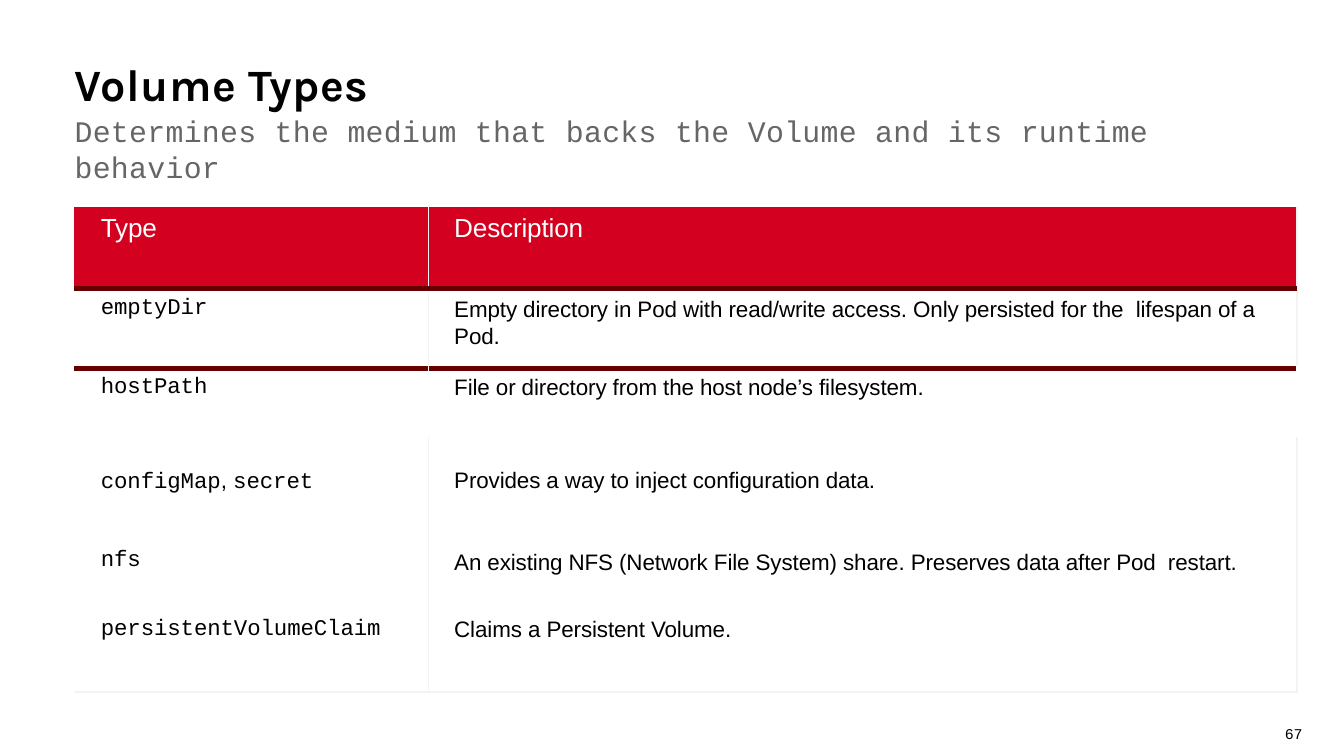
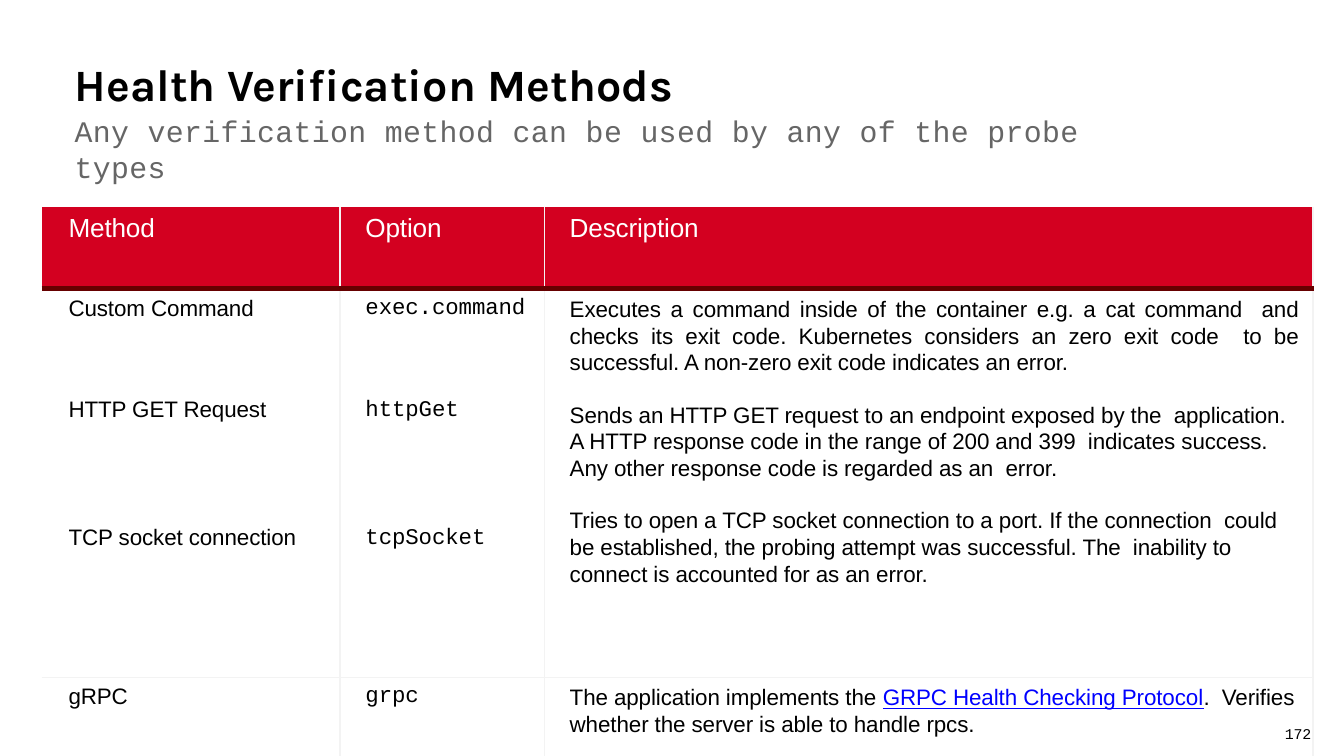
from dataclasses import dataclass

from lxml import etree
from pptx import Presentation
from pptx import util as u
from pptx.dml.color import RGBColor
from pptx.enum import text
from pptx.oxml.ns import qn

# Shared look
BLACK, WHITE, GREY, BLUE = "000000", "FFFFFF", "666666", "0000FF"
RED, MAROON, PALE = "D30020", "660000", "F3F3F3"
SANS, MONO, HEADING = "Arial", "Courier New", "Karla"
NO_STYLE = "{2D5ABB26-0587-4C30-8999-92F81FD0307C}"
HAIRLINE, RULE = (PALE, 0.75), (MAROON, 3)
BODY_LINE = 14.3
TABLE_TOP = 15.4
HEADER_HEIGHT = 6.1
LOWERED = 2.3


@dataclass
class Span:
    text: str
    font: str = SANS
    size: float = 12
    color: str = BLACK
    spacing: float = -0.05
    bold: bool = False
    underline: bool = False


@dataclass
class Para:
    spans: list
    before: float = 0
    line: float = None
    align: object = text.PP_ALIGN.LEFT


@dataclass
class Row:
    height: float
    cells: list
    bottom: tuple = None
    sides: tuple = HAIRLINE
    fill: str = None
    top_margin: float = 0.5


def grid(count):
    """One grid column or row is a tenth of an inch."""
    return u.Inches(count / 10)


def rgb(color):
    return RGBColor.from_string(color)


# Text
def write(frame, paras):
    for index, item in enumerate(paras):
        para = frame.add_paragraph() if index else frame.paragraphs[0]
        para.alignment = item.align
        para.space_before = u.Pt(item.before)
        if item.line:
            para.line_spacing = u.Pt(item.line)
        for part in item.spans:
            span = para.add_run()
            span.text = part.text
            font = span.font
            font.name, font.size = part.font, u.Pt(part.size)
            font.bold, font.underline = part.bold, part.underline
            font.color.rgb = rgb(part.color)
            span._r.get_or_add_rPr().set("spc", str(round(part.spacing * 100)))


def set_frame(frame, left, top):
    frame.word_wrap = True
    frame.auto_size = text.MSO_AUTO_SIZE.NONE
    frame.vertical_anchor = text.MSO_ANCHOR.TOP
    frame.margin_right = frame.margin_bottom = 0
    frame.margin_left, frame.margin_top = grid(left), grid(top)


def add_page(deck, title, subtitle, width, title_spacing, subtitle_spacing):
    page = deck.slides.add_slide(deck.slide_layouts[5])
    box = page.shapes.title
    box.left, box.top, box.width, box.height = map(grid, (5.4, 3.7, width, 10))
    set_frame(box.text_frame, 0.15, 0.5)
    write(box.text_frame, [
        Para([Span(title, HEADING, 24, BLACK, title_spacing, bold=True)]),
        Para([Span(subtitle, MONO, 16, GREY, subtitle_spacing)], 1.5),
    ])
    return page


def add_page_number(page, number, width):
    box = page.shapes.add_textbox(*map(grid, (95.2, 53.7, width, 1.5)))
    set_frame(box.text_frame, 0.4, 0.2)
    write(box.text_frame, [Para([Span(number, MONO, 8, spacing=-0.15)])])


# Cell contents
def plain(words):
    return [Para([Span(words)])]


def code(words):
    return [Para([Span(words, MONO)])]


def wrapped(*words):
    return [Para([Span(part) for part in words], line=BODY_LINE)]


def stacked(paras, gaps):
    for para, gap in zip(paras[1:], gaps):
        para.before = gap
    return paras


def header(*labels):
    cells = [[Para([Span(label, size=14, color=WHITE, spacing=-0.1)])]
             for label in labels]
    return Row(HEADER_HEIGHT, cells, bottom=RULE, fill=RED)


# Table
def set_borders(cell, edges):
    """Edge elements must come before the cell's fill, in this order."""
    properties = cell._tc.get_or_add_tcPr()
    present = [name for name in ("lnL", "lnR", "lnB") if edges.get(name)]
    for position, name in enumerate(present):
        color, points = edges[name]
        line = etree.Element(qn(f"a:{name}"), w=str(u.Pt(points)))
        fill = etree.SubElement(line, qn("a:solidFill"))
        etree.SubElement(fill, qn("a:srgbClr"), val=color)
        properties.insert(position, line)


def add_table(page, left, widths, rows):
    height = sum(row.height for row in rows)
    frame = page.shapes.add_table(
        len(rows), len(widths), grid(left), grid(TABLE_TOP),
        grid(sum(widths)), grid(height))
    table = frame.table
    table.first_row = table.horz_banding = False
    table._tbl.tblPr.find(qn("a:tableStyleId")).text = NO_STYLE
    for column, width in zip(table.columns, widths):
        column.width = grid(width)
    for y, row in enumerate(rows):
        table.rows[y].height = grid(row.height)
        for x, paras in enumerate(row.cells):
            cell = table.cell(y, x)
            cell.margin_left = grid(1.9 if x else 2)
            cell.margin_top = grid(row.top_margin)
            if row.fill:
                cell.fill.solid()
                cell.fill.fore_color.rgb = rgb(row.fill)
            else:
                cell.fill.background()
            write(cell.text_frame, paras)
            set_borders(cell, {"lnL": row.sides if x else None,
                               "lnR": row.sides, "lnB": row.bottom})


# Slides
def add_volume_types(deck):
    page = add_page(
        deck, "Volume Types",
        "Determines the medium that backs the Volume and its runtime behavior",
        85.1, 0.3, 0.2)
    config_names = [Para([Span("configMap", MONO), Span(", "),
                          Span("secret", MONO)])]
    add_table(page, 5.5, [26.4, 64.6], [
        header("Type", "Description"),
        Row(5.9, [code("emptyDir"), wrapped(
            "Empty directory in Pod with read/write access. "
            "Only persisted for the  lifespan of a Pod.")], bottom=RULE),
        Row(5.1, [code("hostPath"), plain(
            "File or directory from the host node’s filesystem.")],
            sides=(WHITE, 0.75)),
        Row(6, [config_names, plain(
            "Provides a way to inject configuration data.")],
            top_margin=LOWERED),
        Row(6.9, [code("nfs"), wrapped(
            "An existing NFS (Network File System) share. "
            "Preserves data after Pod  restart.")], top_margin=LOWERED),
        Row(6.1, [code("persistentVolumeClaim"),
                  plain("Claims a Persistent Volume.")], bottom=HAIRLINE),
    ])
    add_page_number(page, "67", 2.2)


def add_health_methods(deck):
    page = add_page(
        deck, "Health Verification Methods",
        "Any verification method can be used by any of the probe types",
        75.3, 0.05, 0.22)
    name_gaps = [41, 55.2]
    methods = stacked(
        plain("Custom Command") + plain("HTTP GET Request")
        + plain("TCP socket connection"), name_gaps)
    options = stacked(
        code("exec.command") + code("httpGet") + code("tcpSocket"), name_gaps)
    descriptions = stacked(
        wrapped("Executes a command inside of the container e.g. a cat "
                "command  and checks its exit code. Kubernetes considers an "
                "zero exit code  to be successful. A non-zero exit code "
                "indicates an error.")
        + wrapped("Sends an HTTP GET request to an endpoint exposed by the  "
                  "application. A HTTP response code in the range of 200 and "
                  "399  indicates success. Any other response code is "
                  "regarded as an  error.")
        + wrapped("Tries to open a TCP socket connection to a port. If the "
                  "connection  could be established, the probing attempt was "
                  "successful. The  inability to connect is accounted for as "
                  "an error."), [13.6, 13.8])
    descriptions[0].align = text.PP_ALIGN.JUSTIFY
    grpc = wrapped("The application implements the ",
                   "GRPC Health Checking Protocol",
                   ".  Verifies whether the server is able to handle rpcs.")
    protocol = grpc[0].spans[1]
    protocol.color, protocol.underline = BLUE, True
    add_table(page, 3.1, [22.2, 15.2, 57.2], [
        header("Method", "Option", "Description"),
        Row(28.9, [methods, options, descriptions], bottom=HAIRLINE),
        Row(6.9, [plain("gRPC"), code("grpc"), grpc], bottom=HAIRLINE),
    ])
    add_page_number(page, "172", 2.8)


def main():
    deck = Presentation()
    deck.slide_width = grid(100)
    deck.slide_height = deck.slide_width * 9 // 16
    add_volume_types(deck)
    add_health_methods(deck)
    deck.save("out.pptx")


if __name__ == "__main__":
    main()
